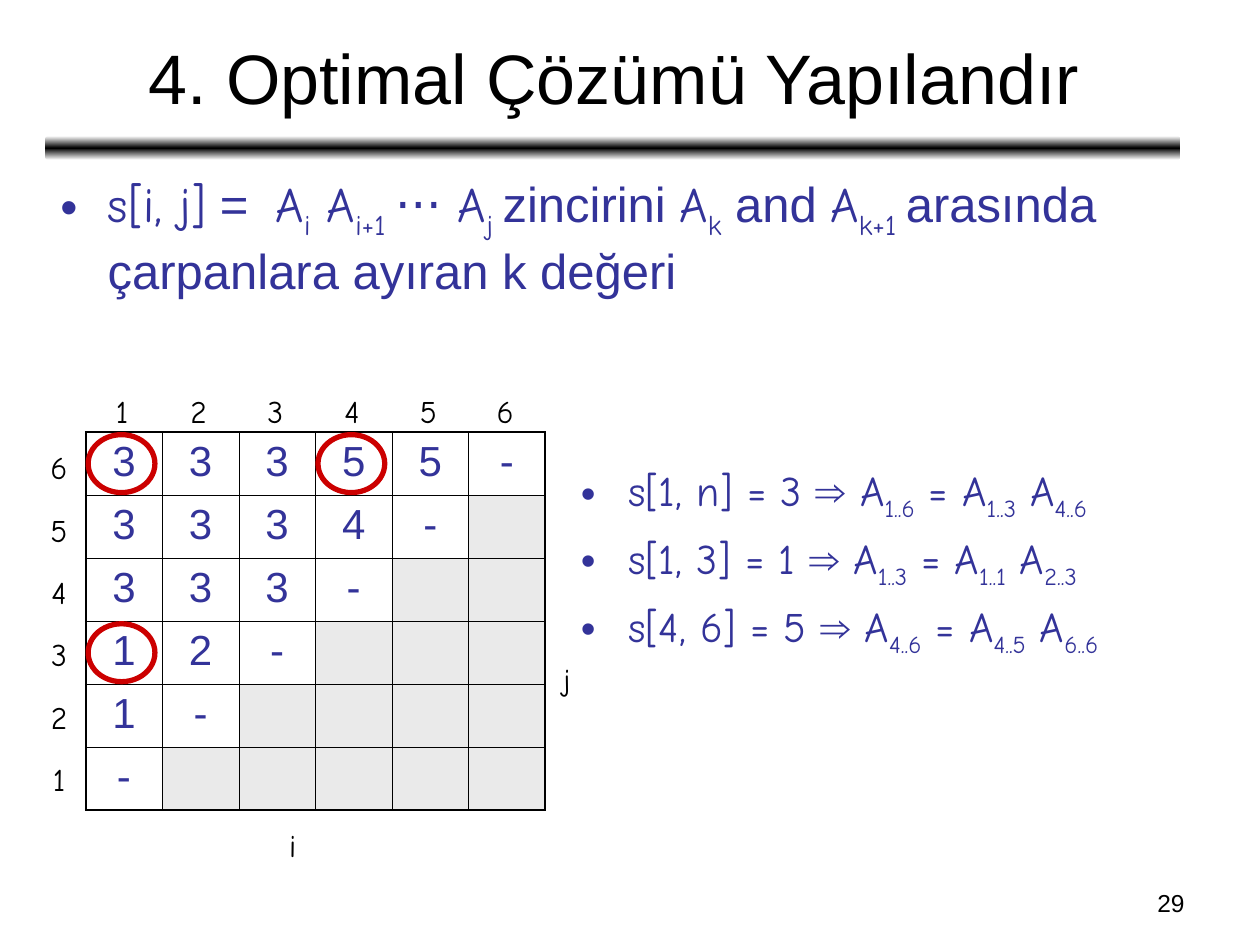
from copy import deepcopy
from lxml import etree
from pptx import Presentation
from pptx import util as u
from pptx.dml.color import RGBColor
from pptx.enum import shapes, text
from pptx.oxml.ns import qn


class Theme:
    ink = RGBColor.from_string("000000")
    blue = RGBColor.from_string("333399")
    red = RGBColor.from_string("CC0000")
    gray = RGBColor.from_string("EAEAEA")
    white = RGBColor.from_string("FFFFFF")
    sans, hand = "Arial", "Comic Neue"
    title, body, cell, label, page = [u.Pt(n) for n in (40, 28, 24, 18, 14)]
    thin, bold, ring = u.Pt(0.45), u.Pt(1.08), u.Pt(3)


deck = Presentation()
deck.slide_width, deck.slide_height = u.Inches(10), u.Inches(7.5)
slide = deck.slides.add_slide(deck.slide_layouts[3])
title, chain, steps = slide.placeholders


def area(x, y, w, h):
    """Turn percentages of the slide into left, top, width, height."""
    sides = (deck.slide_width, deck.slide_height) * 2
    return [int(side * n / 100) for side, n in zip(sides, (x, y, w, h))]


def write(para, parts, size):
    """Add blue runs; "_" starts a subscript and "~" a sans-serif part."""
    for part in parts:
        run = para.add_run()
        run.text = part.lstrip("_~")
        font = run.font
        font.size, font.color.rgb = size, Theme.blue
        font.name = Theme.sans if part[0] == "~" else Theme.hand
        if part[0] == "_":
            font._element.set("baseline", "-25000")


# Title and the bar below it
bar = slide.shapes.add_shape(shapes.MSO_SHAPE.ROUNDED_RECTANGLE,
                             *area(3.6, 14.4, 90.1, 2.53))
bar.shadow.inherit = False
bar.line.fill.background()
bar.fill.gradient()
bar.fill.gradient_angle = 90
first = bar.element.spPr.find(".//" + qn("a:gs"))
first.addnext(deepcopy(first))
shades = (Theme.white, Theme.ink, Theme.white)
for stop, shade, place in zip(bar.fill.gradient_stops, shades, (0, 0.5, 1)):
    stop.color.rgb, stop.position = shade, place

title.left, title.top, title.width, title.height = area(3.7, 1.47, 90, 13.2)
title.text_frame.text = "4. Optimal Çözümü Yapılandır"
title.text_frame.vertical_anchor = text.MSO_ANCHOR.MIDDLE
head = title.text_frame.paragraphs[0]
head.alignment = text.PP_ALIGN.CENTER
head.font.size, head.font.name = Theme.title, Theme.sans
head.font.color.rgb = Theme.ink

# Lists: the meaning of s, then the steps read from the table
chain.left, chain.top, chain.width, chain.height = area(3.8, 17.73, 90, 22)
steps.left, steps.top, steps.width, steps.height = area(45.1, 48.53, 51.5, 31.6)
for holder in (title, chain, steps):
    holder.text_frame.auto_size = text.MSO_AUTO_SIZE.NONE

para = chain.text_frame.paragraphs[0]
para.space_before = u.Pt(0)
write(para, ["s[i, j]", "~ =  ", "A", "_i", " A", "_i+1 ", "~⋅⋅⋅", " A", "_j ",
             "~zincirini ", "A", "_k", "~ and ", "A", "_k+1 ",
             "~arasında çarpanlara ayıran k değeri"], Theme.body)

splits = [("s[1, n] = 3 ", "1..6", "1..3", "4..6"),
          ("s[1, 3] = 1 ", "1..3", "1..1", "2..3"),
          ("s[4, 6] = 5 ", "4..6", "4..5", "6..6")]
for n, (lead, whole, left, right) in enumerate(splits):
    frame = steps.text_frame
    para = frame.add_paragraph() if n else frame.paragraphs[0]
    para.space_before = u.Pt(6 if n else 0)
    write(para, [lead, "~⇒", " A", "_" + whole, " = A", "_" + left,
                 " A", "_" + right], Theme.cell)

# Table of split points; cells past the diagonal are gray
rows = ["33355-", "3334-", "333-", "12-", "1-", "-"]
size = len(rows)
x0, y0, cw, ch = 6.8, 45.73, 6.08, 6.67
grid = slide.shapes.add_table(
    size, size, *area(x0, y0, cw * size, ch * size)).table
grid.first_row = grid.horz_banding = False
for r, row in enumerate(rows):
    for c in range(size):
        cell = grid.cell(r, c)
        edges = {"L": c == 0, "R": c == size - 1,
                 "T": r == 0, "B": r == size - 1}
        props = cell._tc.get_or_add_tcPr()
        for side, outer in edges.items():
            width = Theme.bold if outer else Theme.thin
            line = etree.SubElement(props, qn("a:ln" + side), w=str(int(width)))
            fill = etree.SubElement(line, qn("a:solidFill"))
            etree.SubElement(fill, qn("a:srgbClr"), val=str(Theme.ink))
        cell.fill.solid()
        cell.fill.fore_color.rgb = Theme.white if c < len(row) else Theme.gray
        if c < len(row):
            cell.text = row[c]
            para = cell.text_frame.paragraphs[0]
            para.alignment = text.PP_ALIGN.CENTER
            para.font.size, para.font.name = Theme.cell, Theme.sans
            para.font.color.rgb = Theme.blue

# Column and row numbers, axis names and page number
labels = [("i", 20.2, 86.8), ("j", 41.95, 69.2)]
for n in range(size):
    labels.append((str(n + 1), x0 - 0.15 + n * cw, 40.8))
    labels.append((str(size - n), 1.65, 46.8 + n * 6.59))
notes = [(word, area(x, y, cw, 5.33), Theme.label, Theme.hand,
          text.PP_ALIGN.CENTER) for word, x, y in labels]
notes.append(("29", area(71.7, 93.33, 23.3, 4.67), Theme.page, Theme.sans,
              text.PP_ALIGN.RIGHT))
for word, place, points, face, align in notes:
    frame = slide.shapes.add_textbox(*place).text_frame
    frame.word_wrap = True
    frame.text = word
    para = frame.paragraphs[0]
    para.alignment = align
    para.font.size, para.font.name = points, face
    para.font.color.rgb = Theme.ink

# Rings around the entries used by the steps
for r, c in [(0, 0), (3, 0), (0, 3)]:
    ring = slide.shapes.add_shape(
        shapes.MSO_SHAPE.OVAL,
        *area(x0 + 0.2 + c * cw, y0 + 0.27 + r * ch, 5.3, 6.13))
    ring.shadow.inherit = False
    ring.fill.background()
    ring.line.color.rgb, ring.line.width = Theme.red, Theme.ring

deck.save("out.pptx")
